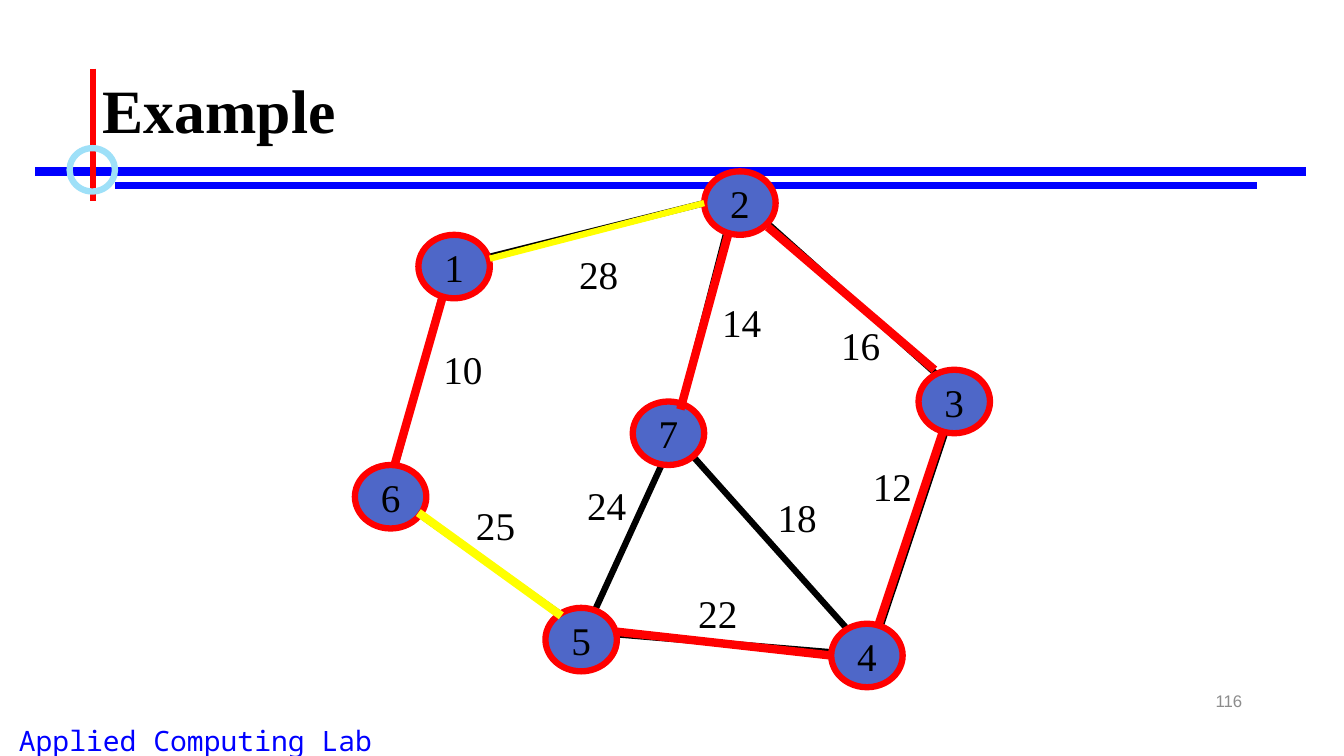
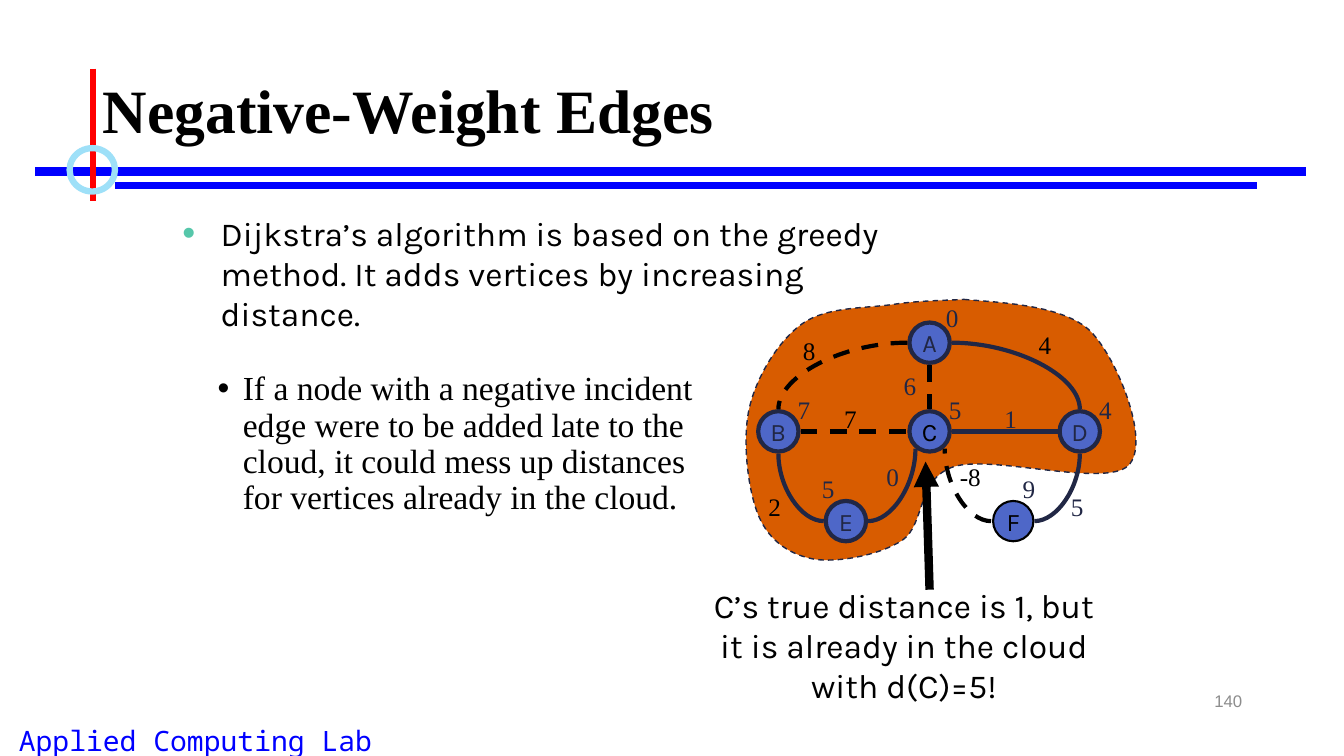
from lxml import etree
from pptx import Presentation
from pptx.dml.color import RGBColor
from pptx.enum.dml import MSO_LINE
from pptx.enum.shapes import MSO_CONNECTOR, MSO_SHAPE
from pptx.enum.text import MSO_ANCHOR, MSO_AUTO_SIZE, PP_ALIGN
from pptx.oxml.ns import qn
from pptx.util import Inches, Pt

STRAIGHT = MSO_CONNECTOR.STRAIGHT
ELLIPSE = MSO_SHAPE.OVAL
DASH = MSO_LINE.DASH
LEFT, CENTER, RIGHT = PP_ALIGN.LEFT, PP_ALIGN.CENTER, PP_ALIGN.RIGHT
TOP, MIDDLE = MSO_ANCHOR.TOP, MSO_ANCHOR.MIDDLE
NO_FIT = MSO_AUTO_SIZE.NONE

SERIF, SANS, MONO, ARIAL = "Times New Roman", "Karla", "Noto Sans Mono", "Arial"
BLACK, BLUE, RED, YELLOW = "000000", "0000FF", "FF0000", "FFFF00"
NAVY, NODE, CLOUD = "212745", "4E67C8", "D85C00"
RING, TEAL, GRAY = "9EE0F8", "56C7AA", "8C8C8C"

PAGE_GRID = (0, 0, 0.1)
NETWORK_GRID = (3.52, 1.7, 1 / 12.7)


def color(value):
    return RGBColor.from_string(value)


class Deck:
    def __init__(self):
        self.show = Presentation()
        self.show.slide_width = Inches(13.33)
        self.show.slide_height = Inches(7.5)
        self.page = None
        self.grid = PAGE_GRID

    def point(self, column, row):
        left, top, step = self.grid
        return Inches(left + column * step), Inches(top + row * step)

    def area(self, column, row, columns, rows):
        step = self.grid[2]
        return *self.point(column, row), Inches(columns * step), Inches(rows * step)

    def start_page(self, title, number):
        self.grid = PAGE_GRID
        self.page = self.show.slides.add_slide(self.show.slide_layouts[5])
        heading = self.page.shapes.title
        heading.left, heading.top, heading.width, heading.height = self.area(9.2, 4, 115, 14.5)
        self.set_text(heading, title, 44, SERIF, align=LEFT, anchor=MIDDLE, bold=True, spacing=0.9)
        self.text("Applied Computing Lab", (0, 71.3, 38.8, 3.7), 20, MONO, BLUE, wrap=True)
        self.line((3.5, 17), (129.5, 17), BLUE, 6)
        self.line((11.4, 18.4), (124.7, 18.4), BLUE)
        self.line((9.2, 6.8), (9.2, 19.9), RED)
        self.ellipse((6.9, 14.7, 4.5, 4.3), RING)
        self.text(number, (94.2, 67.5, 30, 4), 12, ARIAL, GRAY, RIGHT, MIDDLE, wrap=True)

    def set_text(self, shape, text, size, font, ink=BLACK, align=CENTER, anchor=TOP,
                 wrap=True, bold=False, spacing=None, bullet=None):
        frame = shape.text_frame
        frame.text = text
        frame.word_wrap = wrap
        frame.auto_size = NO_FIT
        frame.vertical_anchor = anchor
        para = frame.paragraphs[0]
        para.alignment = align
        if spacing:
            para.line_spacing = spacing
        if bullet:
            self.bullet(para, *bullet)
        style = para.runs[0].font
        style.name, style.size, style.bold = font, Pt(size), bold
        style.color.rgb = color(ink)

    def bullet(self, para, margin, hanging, ink, percent):
        props = para._p.get_or_add_pPr()
        props.set("marL", str(Inches(margin)))
        props.set("indent", str(-Inches(hanging)))
        tint = etree.SubElement(props, qn("a:buClr"))
        etree.SubElement(tint, qn("a:srgbClr"), val=ink)
        etree.SubElement(props, qn("a:buSzPct"), val=str(percent * 1000))
        etree.SubElement(props, qn("a:buFont"), typeface=ARIAL)
        etree.SubElement(props, qn("a:buChar"), char="•")

    def text(self, text, place, size, font, ink=BLACK, align=CENTER, anchor=TOP,
             wrap=False, spacing=None, bullet=None):
        box = self.page.shapes.add_textbox(*self.area(*place))
        self.set_text(box, text, size, font, ink, align, anchor, wrap,
                      spacing=spacing, bullet=bullet)

    def outline(self, shape, ink, width, dash=None):
        shape.line.color.rgb = color(ink)
        shape.line.width = Pt(width)
        if dash:
            shape.line.dash_style = dash

    def fill(self, shape, paint):
        shape.shadow.inherit = False
        if paint:
            shape.fill.solid()
            shape.fill.fore_color.rgb = color(paint)
        else:
            shape.fill.background()

    def ellipse(self, place, ink, width=4.5, paint=None):
        shape = self.page.shapes.add_shape(ELLIPSE, *self.area(*place))
        self.fill(shape, paint)
        self.outline(shape, ink, width)
        return shape

    def node(self, label, place, size, font, ink, edge, width):
        shape = self.ellipse(place, edge, width, NODE)
        self.set_text(shape, label, size, font, ink, anchor=MIDDLE, wrap=False)

    def line(self, start, end, ink, width=4.5, dash=None, arrow=False):
        link = self.page.shapes.add_connector(STRAIGHT, *self.point(*start), *self.point(*end))
        self.outline(link, ink, width, dash)
        etree.SubElement(link.element.spPr, qn("a:effectLst"))
        if arrow:
            etree.SubElement(link.element.spPr.find(qn("a:ln")), qn("a:tailEnd"), type="triangle")

    def curve(self, points, ink, width, dash=None, paint=None):
        start, *rest = [self.point(*point) for point in points]
        builder = self.page.shapes.build_freeform(*start)
        builder.add_line_segments(rest, close=bool(paint))
        shape = builder.convert_to_shape()
        segments = shape.element.findall(".//" + qn("a:lnTo"))
        for first in range(0, len(segments), 3):
            bend = etree.Element(qn("a:cubicBezTo"))
            segments[first].addprevious(bend)
            for segment in segments[first:first + 3]:
                bend.append(segment[0])
                segment.getparent().remove(segment)
        self.fill(shape, paint)
        self.outline(shape, ink, width, dash)

    def quarter_turn(self, start, end, ink, dash=None):
        (x1, y1), (x2, y2) = start, end
        middle = [((x1 + x2) / 2, y1), (x2, (y1 + y2) / 2)]
        self.curve([start, *middle, end], ink, 3, dash)


def example_page(deck):
    deck.start_page("Example", "116")
    deck.grid = NETWORK_GRID
    edges = [
        ((12, 12), (48, 3)), ((48, 3), (76, 28)), ((76, 28), (65, 61)),
        ((40, 33), (65, 61)), ((40, 34), (48, 3)), ((40, 34), (29, 58)),
        ((29, 58), (65, 61)), ((12, 12), (4, 41)), ((5, 41), (29, 58)),
    ]
    tree_edges = [
        ((33, 58), (60, 61)), ((74, 33), (66, 57)), ((52, 7), (73, 25)),
        ((47, 8), (41, 30)), ((11, 16), (5, 37)),
    ]
    nodes = {
        "1": (8, 8), "6": (0, 37), "5": (24, 55), "4": (60, 57),
        "3": (71, 25), "2": (44, 0), "7": (35, 29),
    }
    weights = {
        "10": (9.9, 21.3), "25": (14, 41), "24": (28, 38.4), "22": (42, 52),
        "18": (52, 40), "12": (64, 36), "16": (60, 18.3), "28": (27, 9.3),
        "14": (45, 15.4),
    }
    for start, end in edges:
        deck.line(start, end, BLACK)
    for label, corner in nodes.items():
        deck.node(label, (*corner, 9, 8), 28, SERIF, BLACK, RED, 4.5)
    for label, corner in weights.items():
        deck.text(label, (*corner, 7.5, 7.2), 28, SERIF, align=LEFT)
    for start, end in tree_edges:
        deck.line(start, end, RED, 6)
    deck.line((17, 11), (44, 4), YELLOW)
    deck.line((8, 43), (26, 56), YELLOW, 6)


def negative_page(deck):
    deck.start_page("Negative-Weight Edges", "140")
    deck.text("If a node with a negative incident edge were to be added late to the cloud, "
              "it could mess up distances for vertices already in the cloud.",
              (15.6, 36.4, 54.5, 27), 24, SERIF, align=LEFT, wrap=True, spacing=0.9,
              bullet=(0.75, 0.25, BLACK, 100))
    cloud = [
        (95.6, 29.7),
        (98.9, 30), (105.5, 30.2), (108.2, 32.9),
        (110.9, 35.7), (114.2, 44), (111.9, 46.2),
        (109.6, 48.4), (98.3, 45.1), (94.6, 46.3),
        (90.9, 47.5), (91.8, 52), (89.5, 53.6),
        (87.2, 55.1), (83.2, 55.8), (80.9, 55.5),
        (78.5, 55.1), (76.4, 53.8), (75.3, 51.3),
        (74.2, 48.8), (73.6, 43.8), (74.3, 40.6),
        (75, 37.4), (77.2, 33.8), (79.6, 32.1),
        (82, 30.4), (85.9, 30.6), (88.6, 30.2),
        (91.2, 29.8), (94.2, 29.8), (95.6, 29.7),
    ]
    deck.curve(cloud, NAVY, 1, DASH, CLOUD)

    nodes = [
        ("A", 90.2, 32, NAVY, NAVY, 3), ("B", 75.2, 40.8, NAVY, NAVY, 3),
        ("C", 90.2, 40.8, BLACK, NAVY, 3), ("D", 105.1, 40.8, NAVY, NAVY, 3),
        ("E", 81.9, 49.7, NAVY, NAVY, 3), ("F", 98.5, 49.7, BLACK, BLACK, 1.5),
    ]
    for label, column, row, ink, edge, width in nodes:
        deck.node(label, (column, row, 4, 4), 18, SANS, ink, edge, width)

    bends = [
        ((90, 34), (77.2, 40.6), BLACK, DASH),
        ((81.7, 51.7), (77.2, 45), NAVY, None),
        ((86.1, 51.7), (90.8, 44.5), NAVY, None),
        ((102.6, 51.7), (107.1, 45), NAVY, None),
        ((94.4, 34), (107.1, 40.6), NAVY, None),
        ((98.3, 51.7), (93.7, 44.5), BLACK, DASH),
    ]
    for bend in bends:
        deck.quarter_turn(*bend)
    deck.line((92.2, 36.2), (92.2, 40.6), BLACK, 3, DASH)
    deck.line((79.4, 42.8), (90, 42.8), BLACK, 3, DASH)
    deck.line((94.4, 42.8), (104.9, 42.8), NAVY, 3)

    numbers = [
        ("0", 92.8, 29.5, NAVY), ("4", 108, 38.6, NAVY), ("5", 93.1, 38.6, NAVY),
        ("7", 78.1, 38.6, NAVY), ("5", 80.5, 46.5, NAVY), ("9", 100.4, 46.5, NAVY),
        ("4", 102, 32.2, BLACK), ("8", 78.6, 32.8, BLACK), ("7", 82.7, 39.5, BLACK),
        ("1", 98.6, 39.5, NAVY), ("2", 75.2, 48.3, BLACK), ("5", 105.2, 48.3, NAVY),
        ("6", 88.6, 36.2, NAVY), ("0", 86.9, 45.3, NAVY), ("-8", 94.6, 45.3, BLACK),
    ]
    for label, column, row, ink in numbers:
        deck.text(label, (column, row, 3.3, 4), 18, SERIF, ink)

    deck.text("Dijkstra’s algorithm is based on the greedy method. "
              "It adds vertices by increasing distance.",
              (17.1, 20.6, 77.1, 12.8), 24, SANS, align=LEFT, wrap=True,
              bullet=(0.38, 0.38, TEAL, 110))
    deck.text("C’s true distance is 1, but it is already in the cloud with d(C)=5!",
              (69.3, 57.5, 40.7, 13.1), 24, SANS, wrap=True)
    deck.line((92.2, 58.5), (91.8, 45.8), BLACK, 6, arrow=True)


def main():
    deck = Deck()
    example_page(deck)
    negative_page(deck)
    deck.show.save("out.pptx")


if __name__ == "__main__":
    main()
